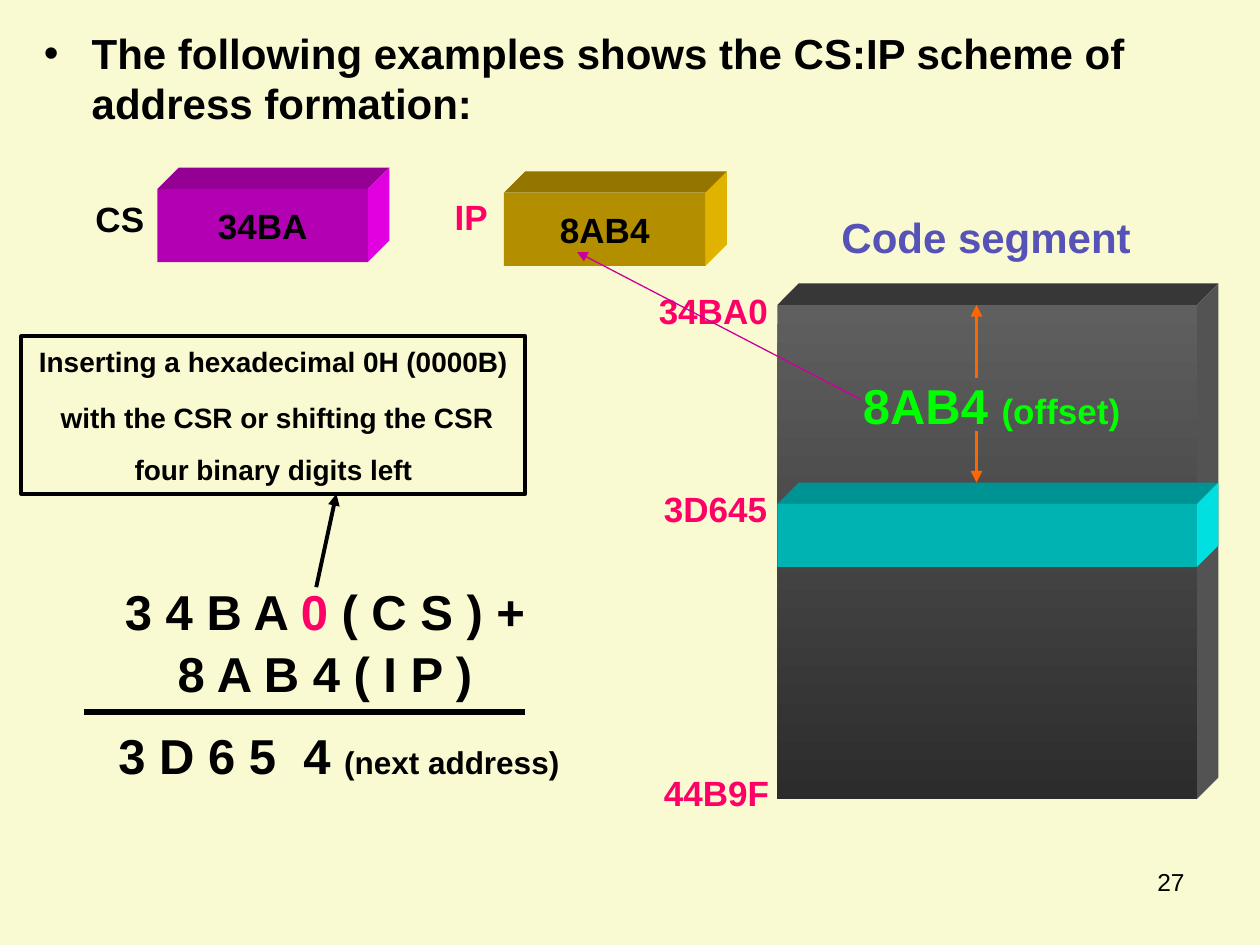
"""Builds a slide on CS:IP address formation with a code segment diagram."""
from lxml import etree
from pptx import Presentation
from pptx.dml.color import RGBColor
from pptx.enum.shapes import MSO_CONNECTOR, MSO_SHAPE
from pptx.enum.text import MSO_ANCHOR, PP_ALIGN
from pptx.oxml.ns import qn
from pptx.util import Inches, Pt

RECT, STRAIGHT = MSO_SHAPE.RECTANGLE, MSO_CONNECTOR.STRAIGHT
LEFT, CENTER, RIGHT = PP_ALIGN.LEFT, PP_ALIGN.CENTER, PP_ALIGN.RIGHT
TOP, MIDDLE = MSO_ANCHOR.TOP, MSO_ANCHOR.MIDDLE

PAPER, BLACK, PINK, GREEN = "FAFAD2", "000000", "FF0066", "00FF00"
DEPTH = 0.17

TITLE = "The following examples shows the CS:IP scheme of address formation:"

# at, outline, width, paragraphs of (space before, indent, runs of (text, size, colour))
PANELS = [
    ((0.17, 2.67, 4, 1.25), BLACK, 2.25, [
        (0, 0, [("Inserting a hexadecimal 0H (0000B)", 16, BLACK)]),
        (13, 0.06, [("with the CSR or shifting the CSR", 16, BLACK)]),
        (10, 0, [("four binary digits left", 16, BLACK)])]),
    ((0.33, 4.42, 4.5, 2), PAPER, 0.75, [
        (0, 0, [("3 4 B A ", 28, BLACK), ("0", 28, PINK), (" ( C S ) +", 28, BLACK)]),
        (2, 0, [("8 A B 4 ( I P )", 28, BLACK)]),
        (13, 0.22, [("3 D 6 5  4 ", 28, BLACK), ("(next address)", 18, BLACK)])]),
]

# at, front, top, side, text
BLOCKS = [
    ((1.25, 1.5, 1.67, 0.58), ["B300B3"], "930093", "E000E0", "34BA"),
    ((4, 1.53, 1.6, 0.58), ["B38F00"], "937500", "E0B300", "8AB4"),
    ((6.17, 2.42, 3.33, 3.92), ["5F5F5F", "2C2C2C"], "373737", "535353", ""),
    ((6.17, 4, 3.33, 0.5), ["00B3B3"], "009393", "00E0E0", ""),
]

LABELS = [
    ((0.66, 1.52, 0.67, 0.43), [("CS", 20, BLACK)]),
    ((3.51, 1.5, 0.58, 0.43), [("IP", 20, PINK)]),
    ((5.13, 2.25, 1.08, 0.43), [("34BA0", 20, PINK)]),
    ((5.17, 3.82, 1.17, 0.43), [("3D645", 20, PINK)]),
    ((5.17, 6.07, 1.25, 0.43), [("44B9F", 20, PINK)]),
    ((6.58, 1.63, 2.67, 0.5), [("Code segment", 24, "5752B8")]),
    ((6.75, 2.93, 2.33, 0.57), [("8AB4 ", 28, GREEN), ("(offset)", 20, GREEN)]),
]

# start, end, colour, width, arrowhead
LINES = [
    ((0.67, 5.65), (4.17, 5.65), BLACK, 3, False),
    ((7.75, 3), (7.75, 2.42), "FF6600", 2.25, True),
    ((7.75, 3.42), (7.75, 3.83), "FF6600", 2.25, True),
    ((2.51, 4.66), (2.67, 3.92), BLACK, 2.25, True),
    ((6.83, 3.17), (4.58, 2), "CC0099", 0.75, True),
]


def rgb(color):
    return RGBColor.from_string(color)


def inches(values):
    return [Inches(v) for v in values]


def write(sp, paragraphs, align=LEFT, anchor=TOP, wrap=True, bold=True):
    tf = sp.text_frame
    tf.word_wrap = wrap
    tf.vertical_anchor = anchor
    for i, (before, indent, runs) in enumerate(paragraphs):
        p = tf.add_paragraph() if i else tf.paragraphs[0]
        p.alignment = align
        p.space_before = Pt(before)
        if indent:
            p._p.get_or_add_pPr().set("marL", str(Inches(indent)))
        for text, size, color in runs:
            r = p.add_run()
            r.text = text
            r.font.name, r.font.size, r.font.bold = "Arial", Pt(size), bold
            r.font.color.rgb = rgb(color)


def add_text(s, at, runs, align=LEFT, bold=True):
    sp = s.shapes.add_textbox(*inches(at))
    write(sp, [(0, 0, runs)], align, bold=bold)
    return sp


def paint(sp, colors):
    sp.shadow.inherit = False
    sp.line.fill.background()
    if len(colors) == 1:
        sp.fill.solid()
        sp.fill.fore_color.rgb = rgb(colors[0])
        return
    sp.fill.gradient()
    sp.fill.gradient_angle = 270
    for stop, color in zip(sp.fill.gradient_stops, colors):
        stop.color.rgb = rgb(color)


def add_face(s, points, color):
    start, *rest = [inches(pt) for pt in points]
    builder = s.shapes.build_freeform(*start)
    builder.add_line_segments(rest)
    paint(builder.convert_to_shape(), [color])


def add_block(s, at, front, top, side, text):
    x, y, w, h = at
    right, bottom = x + w, y + h
    back_right, back_top = right + DEPTH, y - DEPTH
    add_face(s, [(x, y), (x + DEPTH, back_top), (back_right, back_top), (right, y)], top)
    add_face(s, [(right, y), (back_right, back_top), (back_right, bottom - DEPTH),
                 (right, bottom)], side)
    sp = s.shapes.add_shape(RECT, *inches(at))
    paint(sp, front)
    if text:
        write(sp, [(0, 0, [(text, 20, BLACK)])], CENTER, MIDDLE, False)


def add_panel(s, at, outline, width, paragraphs):
    sp = s.shapes.add_shape(RECT, *inches(at))
    paint(sp, [PAPER])
    sp.line.color.rgb = rgb(outline)
    sp.line.width = Pt(width)
    write(sp, paragraphs, CENTER, MIDDLE, False)


def add_line(s, start, end, color, width, arrow):
    line = s.shapes.add_connector(STRAIGHT, *inches(start + end))
    line.line.color.rgb = rgb(color)
    line.line.width = Pt(width)
    if arrow:
        etree.SubElement(line.line._get_or_add_ln(), qn("a:tailEnd"), type="triangle")
    etree.SubElement(line._element.spPr, qn("a:effectLst"))


def add_title(s):
    sp = add_text(s, (0.25, 0.17, 9.5, 1), [(TITLE, 24, BLACK)])
    pPr = sp.text_frame.paragraphs[0]._p.get_or_add_pPr()
    pPr.set("marL", str(Inches(0.38)))
    pPr.set("indent", str(Inches(-0.38)))
    etree.SubElement(pPr, qn("a:buFont"), typeface="Arial")
    etree.SubElement(pPr, qn("a:buChar"), char="•")


def main():
    prs = Presentation()
    prs.slide_width, prs.slide_height = Inches(10), Inches(7.5)
    s = prs.slides.add_slide(prs.slide_layouts[6])
    s.background.fill.solid()
    s.background.fill.fore_color.rgb = rgb(PAPER)
    add_title(s)
    add_text(s, (7.17, 6.83, 2.33, 0.52), [("27", 14, BLACK)], RIGHT, False)
    for panel in PANELS:
        add_panel(s, *panel)
    for block in BLOCKS:
        add_block(s, *block)
    for at, runs in LABELS:
        add_text(s, at, runs)
    for line in LINES:
        add_line(s, *line)
    prs.save("out.pptx")


if __name__ == "__main__":
    main()
